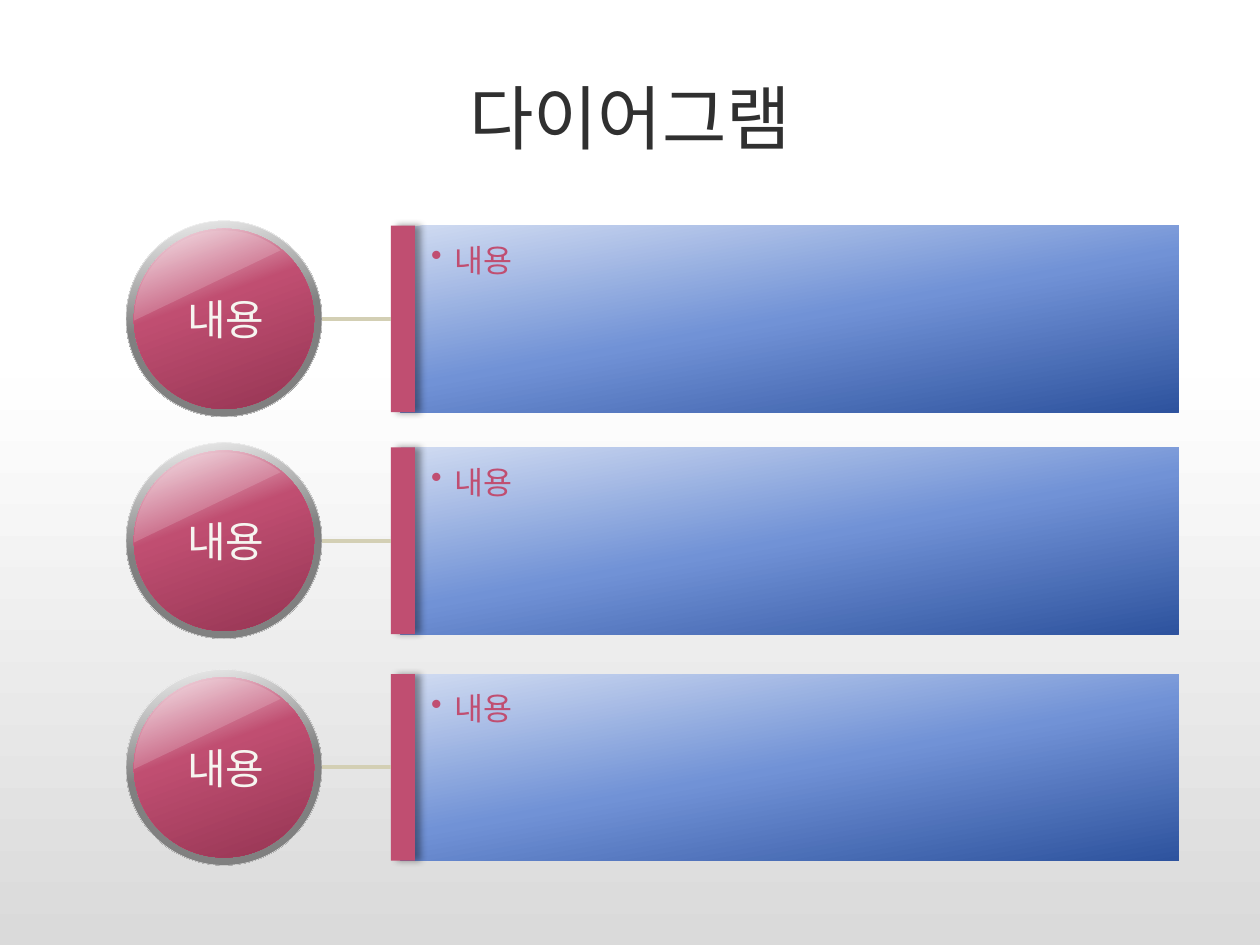
from dataclasses import dataclass

from lxml.etree import SubElement
from pptx import Presentation
from pptx.dml.color import RGBColor
from pptx.enum.shapes import MSO_CONNECTOR, MSO_SHAPE
from pptx.enum.text import MSO_ANCHOR, PP_ALIGN
from pptx.oxml.ns import qn
from pptx.util import Pt


@dataclass(frozen=True)
class Theme:
    font: str = "Arial"
    title_size: int = 40
    label_size: int = 24
    body_size: int = 18
    title: str = "303030"
    label: str = "F6F5F0"
    accent: str = "C04E71"
    gloss: str = "F2DCE3"
    rim: str = "F2F2F2"
    link: str = "D3CFB4"
    shadow: str = "000000"
    backdrop: tuple = ((0, "FFFFFF"), (40, "FEFEFE"), (100, "DADADA"))
    ring: tuple = ((0, "F2F2F2"), (50, "808080"), (100, "808080"))
    ball: tuple = ((0, "F9EDF1"), (40, "C04E71"), (100, "953553"))
    panel: tuple = ((0, "D0DBF1"), (50, "7192D6"), (100, "2E539E"))


def add_node(parent, tag, **attributes):
    values = {name: str(value) for name, value in attributes.items()}
    return SubElement(parent, qn(tag), values)


def add_color(parent, color, opacity=100):
    node = add_node(parent, "a:srgbClr", val=color)
    if opacity < 100:
        add_node(node, "a:alpha", val=opacity * 1000)


def set_gradient(owner, fill, stops, angle):
    fill.gradient()
    gradient = next(owner.element.iter(qn("a:gradFill")))
    for child in list(gradient):
        gradient.remove(child)
    stop_list = add_node(gradient, "a:gsLst")
    for position, color in stops:
        add_color(add_node(stop_list, "a:gs", pos=position * 1000), color)
    add_node(gradient, "a:lin", ang=angle * 60000, scaled=0)


def write_text(box, text, *, font, size, color, align=PP_ALIGN.LEFT,
               anchor=MSO_ANCHOR.TOP, wrap=True, margins=(7.2, 3.6, 7.2, 3.6), bullet_indent=0):
    frame = box.text_frame
    frame.word_wrap = wrap
    frame.vertical_anchor = anchor
    frame.margin_left, frame.margin_top, frame.margin_right, frame.margin_bottom = map(Pt, margins)
    para = frame.paragraphs[0]
    para.alignment = align
    if bullet_indent:
        properties = para._p.get_or_add_pPr()
        properties.set("marL", str(Pt(bullet_indent)))
        properties.set("indent", str(-Pt(bullet_indent)))
        add_node(properties, "a:buChar", char="•")
    span = para.add_run()
    span.text = text
    span.font.name = font
    span.font.size = Pt(size)
    span.font.color.rgb = RGBColor.from_string(color)


class DiagramPage:
    def __init__(self, deck, theme):
        self.theme = theme
        self.page = deck.slides.add_slide(deck.slide_layouts[6])
        set_gradient(self.page, self.page.background.fill, theme.backdrop, 90)

    def shape(self, kind, left, top, width, height, color=None):
        shape = self.page.shapes.add_shape(kind, Pt(left), Pt(top), Pt(width), Pt(height))
        shape.shadow.inherit = False
        shape.line.fill.background()
        if color:
            shape.fill.solid()
            shape.fill.fore_color.rgb = RGBColor.from_string(color)
        return shape

    def round_shape(self, kind, center_x, center_y, size, color=None):
        return self.shape(kind, center_x - size / 2, center_y - size / 2, size, size, color)

    def text(self, text, left, top, width, height, **style):
        box = self.page.shapes.add_textbox(Pt(left), Pt(top), Pt(width), Pt(height))
        write_text(box, text, font=self.theme.font, align=PP_ALIGN.CENTER,
                   anchor=MSO_ANCHOR.MIDDLE, **style)

    def title(self, text):
        self.text(text, 36, 21.6, 648, 90, size=self.theme.title_size, color=self.theme.title)

    def ball(self, text, center_x, center_y):
        theme = self.theme
        ring = self.round_shape(MSO_SHAPE.OVAL, center_x, center_y, 112)
        set_gradient(ring, ring.fill, theme.ring, 80)
        ring.line.color.rgb = RGBColor.from_string(theme.rim)
        ring.line.width = Pt(0.25)
        ball = self.round_shape(MSO_SHAPE.OVAL, center_x, center_y, 103)
        set_gradient(ball, ball.fill, theme.ball, 70)
        gloss = self.round_shape(MSO_SHAPE.CHORD, center_x, center_y + 1, 103, theme.gloss)
        gloss.rotation = 90
        gloss.adjustments[0], gloss.adjustments[1] = 53.946, 131.298
        color = next(gloss.element.spPr.iter(qn("a:srgbClr")))
        add_node(color, "a:alpha", val=20000)
        self.text(text, center_x - 30, center_y - 18, 62, 36, wrap=False,
                  size=theme.label_size, color=theme.label)

    def panel(self, text, center_y):
        theme, height = self.theme, 106.6
        top = center_y - height / 2
        panel = self.shape(MSO_SHAPE.RECTANGLE, 229, top, 444.5, height)
        set_gradient(panel, panel.fill, theme.panel, 80)
        write_text(panel, text, font=theme.font, size=theme.body_size, color=theme.accent,
                   margins=(17.3, 8.6, 7.2, 3.6), bullet_indent=13.5)
        bar = self.shape(MSO_SHAPE.RECTANGLE, 223.4, top, 13.7, height, theme.accent)
        effects = bar.element.spPr.find(qn("a:effectLst"))
        shadow = add_node(effects, "a:outerShdw", blurRad=Pt(4), dist=Pt(3), dir=0,
                          algn="l", rotWithShape=0)
        add_color(shadow, theme.shadow, 40)
        return bar

    def link(self, left, center_y, bar):
        line = self.page.shapes.add_connector(
            MSO_CONNECTOR.STRAIGHT, Pt(left), Pt(center_y), bar.left, Pt(center_y))
        line.end_connect(bar, 1)
        line.line.color.rgb = RGBColor.from_string(self.theme.link)
        line.line.width = Pt(2.25)
        add_node(line.element.spPr, "a:effectLst")


def main():
    deck = Presentation()
    deck.slide_width, deck.slide_height = Pt(720), Pt(540)
    diagram = DiagramPage(deck, Theme())
    diagram.title("다이어그램")
    for center_y in (182.2, 309, 438.5):
        diagram.ball("내용", 128, center_y)
        bar = diagram.panel("내용", center_y)
        diagram.link(184, center_y, bar)
    deck.save("out.pptx")


if __name__ == "__main__":
    main()
